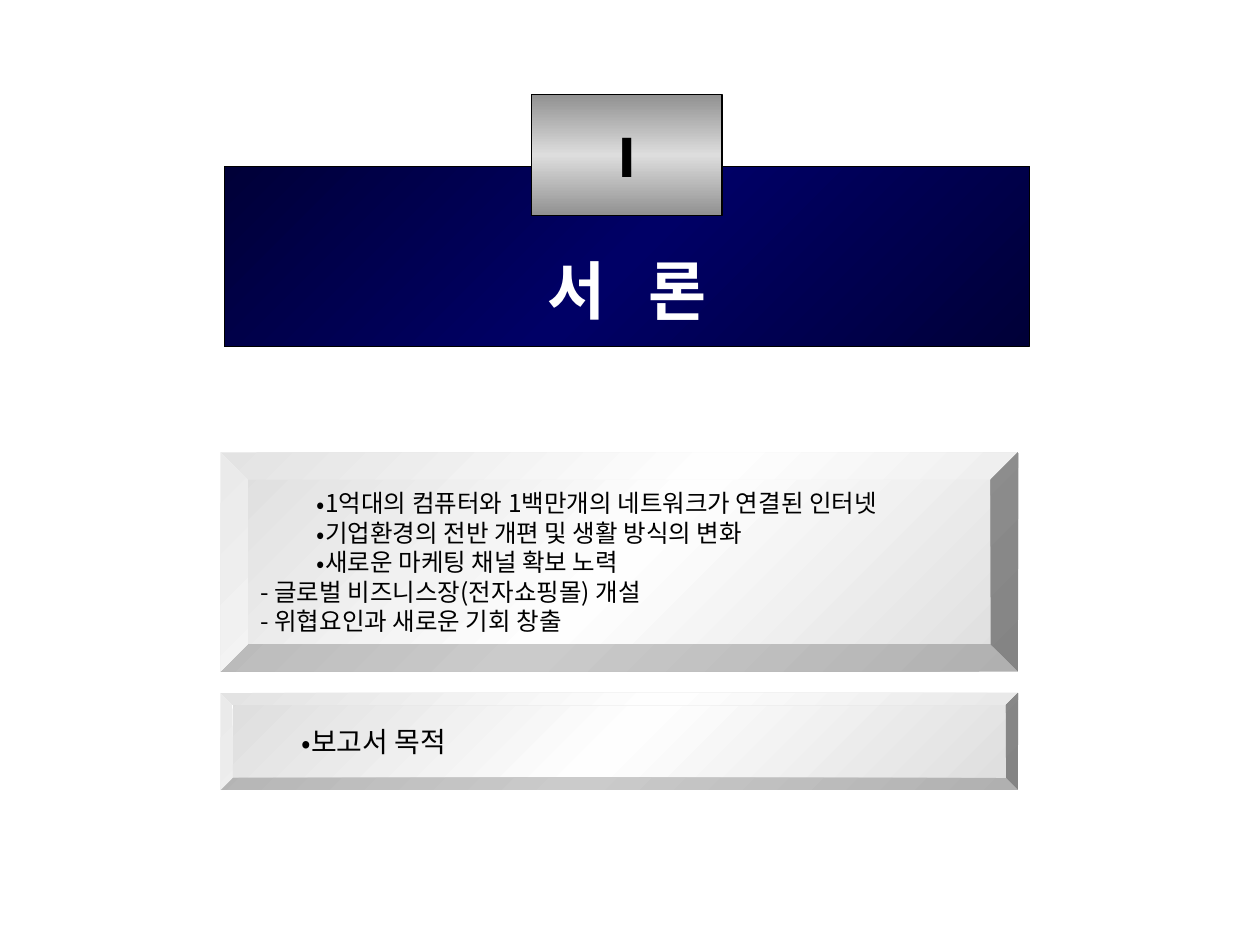
import copy
from dataclasses import dataclass

import lxml.etree
import pptx
import pptx.dml.color
import pptx.enum.shapes
import pptx.enum.text
import pptx.oxml.ns
import pptx.util

Inches = pptx.util.Inches
Pt = pptx.util.Pt
qn = pptx.oxml.ns.qn
Shapes = pptx.enum.shapes.MSO_SHAPE
Align = pptx.enum.text.PP_ALIGN


@dataclass(frozen=True)
class Theme:
    korean_font: str = "Noto Sans CJK KR"
    latin_font: str = "Montserrat"
    black: str = "000000"
    white: str = "FFFFFF"
    navy: tuple = ("000038", "000066", "000038")
    steel: tuple = ("919191", "DDDDDD", "919191")
    silver: tuple = ("DDDDDD", "FEFEFE", "DDDDDD")
    title_size: int = 36
    number_size: int = 32
    purpose_size: int = 16
    body_size: int = 14
    line_width: float = 0.75
    bullet_indent: float = 0.45
    title_spacing: int = 16


class SlideBuilder:
    def __init__(self, slide, theme):
        self.slide = slide
        self.theme = theme

    def color(self, value):
        return pptx.dml.color.RGBColor.from_string(value)

    def gradient(self, shape, colors, angle):
        shape.fill.gradient()
        shape.fill.gradient_angle = angle
        stop_list = shape._element.spPr.find(qn("a:gradFill")).find(qn("a:gsLst"))
        stop_list.append(copy.deepcopy(stop_list[0]))
        for index, (stop, value) in enumerate(zip(shape.fill.gradient_stops, colors)):
            stop.position = index / (len(colors) - 1)
            stop.color.rgb = self.color(value)

    def panel(self, kind, box, colors, angle, outlined):
        shape = self.slide.shapes.add_shape(kind, *map(Inches, box))
        shape.shadow.inherit = False
        self.gradient(shape, colors, angle)
        if outlined:
            shape.line.color.rgb = self.color(self.theme.black)
            shape.line.width = Pt(self.theme.line_width)
        else:
            shape.line.fill.background()
        shape.text_frame.word_wrap = False
        shape.text_frame.vertical_anchor = pptx.enum.text.MSO_ANCHOR.MIDDLE
        return shape

    def run(self, paragraph, text, size, color, font, bold=False, spacing=0):
        run = paragraph.add_run()
        run.text = text
        run.font.name = font
        run.font.size = Pt(size)
        run.font.bold = bold
        run.font.color.rgb = self.color(color)
        properties = run._r.get_or_add_rPr()
        properties.set("kern", "0")
        east_asian = lxml.etree.Element(qn("a:ea"), typeface=font)
        properties.find(qn("a:latin")).addnext(east_asian)
        if spacing:
            properties.set("spc", str(spacing * 100))

    def bullet(self, paragraph):
        properties = paragraph._p.get_or_add_pPr()
        properties.set("marL", "0")
        properties.set("indent", str(Inches(self.theme.bullet_indent)))
        bullet_color = lxml.etree.SubElement(properties, qn("a:buClr"))
        lxml.etree.SubElement(bullet_color, qn("a:srgbClr"), val=self.theme.black)
        lxml.etree.SubElement(properties, qn("a:buFont"), typeface=self.theme.korean_font)
        lxml.etree.SubElement(properties, qn("a:buChar"), char="•")

    def title_banner(self, box, words):
        theme = self.theme
        shape = self.panel(Shapes.RECTANGLE, box, theme.navy, 135, True)
        shape.text_frame.margin_top = Inches(0.57)
        paragraph = shape.text_frame.paragraphs[0]
        paragraph.alignment = Align.CENTER
        style = (theme.title_size, theme.white, theme.korean_font, True)
        for index, word in enumerate(words):
            if index:
                self.run(paragraph, " ", *style, spacing=theme.title_spacing)
            self.run(paragraph, word, *style)

    def number_plate(self, box, number):
        theme = self.theme
        shape = self.panel(Shapes.RECTANGLE, box, theme.steel, 270, True)
        paragraph = shape.text_frame.paragraphs[0]
        paragraph.alignment = Align.CENTER
        self.run(paragraph, number, theme.number_size, theme.black, theme.latin_font, True)

    def bevel_box(self, box, size, bullets, dashes=()):
        theme = self.theme
        shape = self.panel(Shapes.BEVEL, box, theme.silver, 135, False)
        frame = shape.text_frame
        for index, text in enumerate([*bullets, *dashes]):
            paragraph = frame.add_paragraph() if index else frame.paragraphs[0]
            paragraph.alignment = Align.LEFT
            if index < len(bullets):
                self.bullet(paragraph)
            self.run(paragraph, text, size, theme.black, theme.korean_font)


def main():
    presentation = pptx.Presentation()
    presentation.slide_width = Inches(10)
    presentation.slide_height = Inches(7.5)
    slide = presentation.slides.add_slide(presentation.slide_layouts[6])
    theme = Theme()
    builder = SlideBuilder(slide, theme)

    builder.title_banner((1.78, 1.32, 6.39, 1.43), ("서", "론"))
    builder.number_plate((4.22, 0.75, 1.51, 0.96), "I")
    builder.bevel_box(
        (1.75, 3.59, 6.33, 1.74),
        theme.body_size,
        (
            "1억대의 컴퓨터와 1백만개의 네트워크가 연결된 인터넷",
            "기업환경의 전반 개편 및 생활 방식의 변화",
            "새로운 마케팅 채널 확보 노력",
        ),
        ("- 글로벌 비즈니스장(전자쇼핑몰) 개설", "- 위협요인과 새로운 기회 창출"),
    )
    builder.bevel_box((1.75, 5.5, 6.33, 0.77), theme.purpose_size, ("보고서 목적",))

    presentation.save("out.pptx")


if __name__ == "__main__":
    main()
